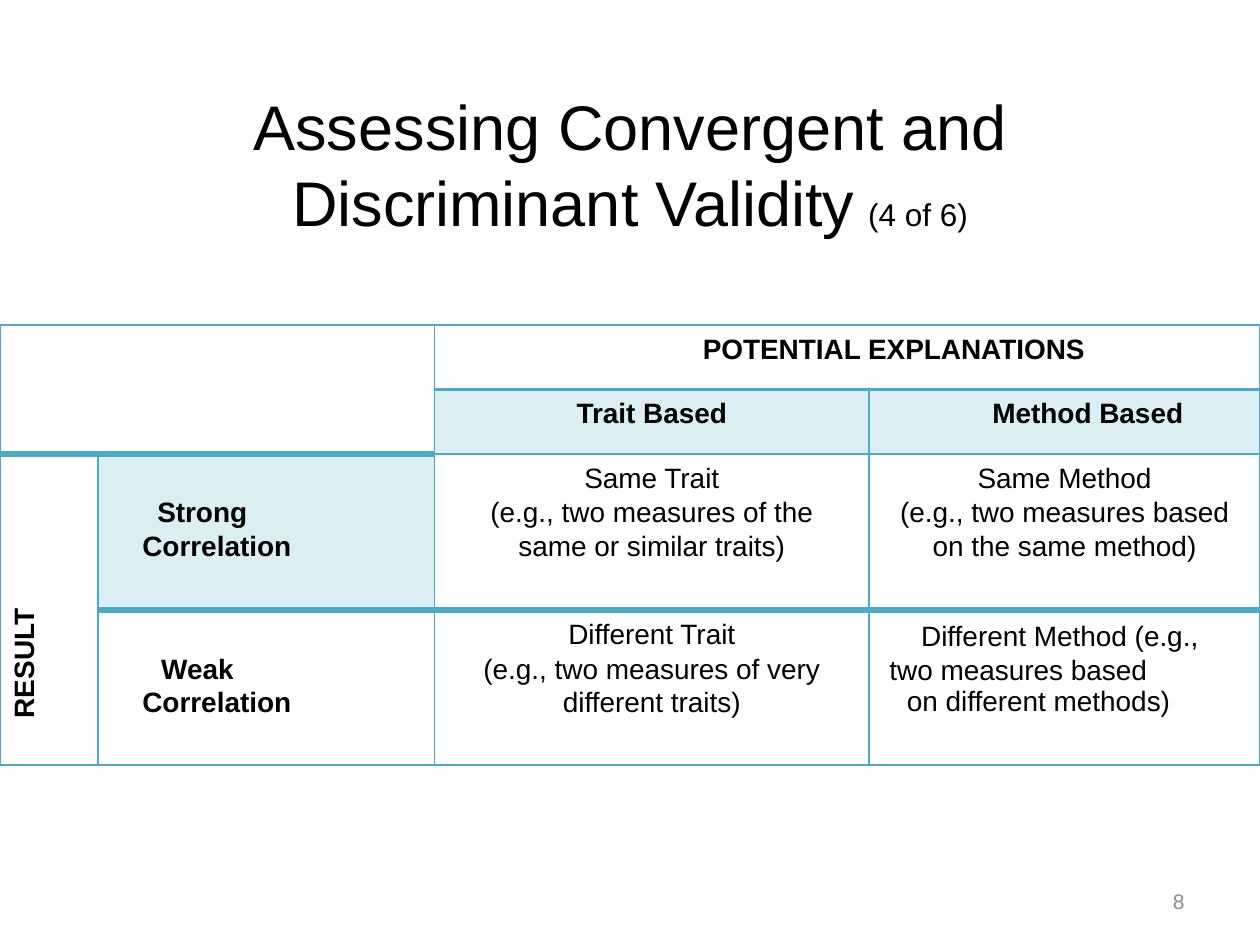
from pptx import Presentation
from pptx.dml.color import RGBColor
from pptx.enum.text import MSO_ANCHOR, MSO_AUTO_SIZE, PP_ALIGN
from pptx.oxml import parse_xml
from pptx.oxml.ns import nsdecls
from pptx.util import Cm, Pt

CENTER, LEFT, RIGHT = PP_ALIGN.CENTER, PP_ALIGN.LEFT, PP_ALIGN.RIGHT
MIDDLE = MSO_ANCHOR.MIDDLE
NO_AUTOFIT = MSO_AUTO_SIZE.NONE

BLACK = RGBColor(0x00, 0x00, 0x00)
GRAY = RGBColor(0x8C, 0x8C, 0x8C)
TEAL = RGBColor(0x4B, 0xAC, 0xC6)
FONT = "Arial"
TINT_ALPHA = 20000

COLUMN_WIDTHS = (1.98, 6.78, 8.76, 7.88)
ROW_HEIGHTS = (1.3, 1.3, 3.15, 3.12)
CELL_MARGIN = 0.18
LABEL_TOP = 0.83

# Paragraph formats: indents in cm
PLAIN = {"align": CENTER}
HEADING = {"align": CENTER, "bold": True}
LABEL = {"align": LEFT, "bold": True, "left": 0.71, "right": 2.5, "line": 1.08}
DETAIL = {"align": CENTER, "line": 1.08, "before": 0.8}

# Row, column, row span, column span, cell format, paragraphs
BLOCKS = [
    (0, 0, 2, 2, {}, []),
    (0, 2, 1, 2, {}, [("POTENTIAL EXPLANATIONS", {**HEADING, "left": 1.88})]),
    (1, 2, 1, 1, {"tint": True}, [("Trait Based", HEADING)]),
    (1, 3, 1, 1, {"tint": True}, [("Method Based", {**HEADING, "left": 0.94})]),
    (2, 0, 2, 1, {"vert": "vert270"},
     [("RESULT", {"align": LEFT, "bold": True, "left": 0.76})]),
    (2, 1, 1, 1, {"tint": True, "top": LABEL_TOP},
     [("Strong Correlation", {**LABEL, "first": 0.3})]),
    (2, 2, 1, 1, {},
     [("Same Trait", PLAIN),
      ("(e.g., two measures of the same or similar traits)",
       {**DETAIL, "left": 0.28, "right": 0.28})]),
    (2, 3, 1, 1, {},
     [("Same Method", PLAIN),
      ("(e.g., two measures based on the same method)",
       {**DETAIL, "left": 0.23, "right": 0.23})]),
    (3, 1, 1, 1, {"top": LABEL_TOP},
     [("Weak Correlation", {**LABEL, "first": 0.38})]),
    (3, 2, 1, 1, {},
     [("Different Trait", PLAIN),
      ("(e.g., two measures of very different traits)",
       {**DETAIL, "left": 0.2, "right": 0.2})]),
    (3, 3, 1, 1, {},
     [("Different Method (e.g., two measures based",
       {"align": LEFT, "left": 0.23, "first": 0.64, "right": 0.76, "line": 1.08}),
      ("on different methods)", {"align": LEFT, "left": 0.58})]),
]


def set_font(font, size, color=BLACK, bold=False):
    for name, value in {"name": FONT, "size": Pt(size), "bold": bold}.items():
        setattr(font, name, value)
    font.color.rgb = color


def add_title(slide, left, top, width, height):
    title = slide.shapes.title
    title.left, title.top, title.width, title.height = left, top, width, height
    frame = title.text_frame
    frame.auto_size = NO_AUTOFIT
    frame.vertical_anchor = MIDDLE
    heading = frame.paragraphs[0]
    heading.alignment = CENTER
    for text, size in (("Assessing Convergent and Discriminant Validity", 36),
                       (" ", 28), ("(4 of 6)", 18)):
        run = heading.add_run()
        run.text = text
        set_font(run.font, size)


def rule_width(boundary, column):
    """Width in points of the horizontal rule above row number `boundary`."""
    if boundary == 2:
        return 4 if column < 2 else 1
    return {1: 2, 3: 4}.get(boundary, 1)


def add_border(cell, side, width):
    if width:
        line = f'<a:solidFill><a:srgbClr val="{TEAL}"/></a:solidFill>'
    else:
        line = "<a:noFill/>"
    cell._tc.get_or_add_tcPr().append(parse_xml(
        f'<a:ln{side} {nsdecls("a")} w="{Pt(width)}">{line}</a:ln{side}>'))


def fill_cell(cell, tint):
    if not tint:
        cell.fill.background()
        return
    cell.fill.solid()
    cell.fill.fore_color.rgb = TEAL
    color = cell._tc.tcPr.find(".//{*}solidFill/{*}srgbClr[last()]")
    for color in cell._tc.tcPr.findall("{*}solidFill/{*}srgbClr"):
        color.append(parse_xml(f'<a:alpha {nsdecls("a")} val="{TINT_ALPHA}"/>'))


def write_paragraphs(frame, paragraphs):
    for index, (text, style) in enumerate(paragraphs):
        paragraph = frame.paragraphs[0] if index == 0 else frame.add_paragraph()
        paragraph.text = text
        paragraph.alignment = style["align"]
        paragraph.line_spacing = style.get("line", 1.0)
        paragraph.space_before = Pt(style.get("before", 0))
        properties = paragraph._p.get_or_add_pPr()
        for attribute, key in (("marL", "left"), ("marR", "right"), ("indent", "first")):
            properties.set(attribute, str(int(Cm(style.get(key, 0)))))
        set_font(paragraph.runs[0].font, 16, bold=style.get("bold", False))


def add_validity_table(slide, left, top, width, height):
    table = slide.shapes.add_table(len(ROW_HEIGHTS), len(COLUMN_WIDTHS),
                                   left, top, width, height).table
    table.first_row = table.horz_banding = False
    for column, size in zip(table.columns, COLUMN_WIDTHS):
        column.width = Cm(size)
    for row, size in zip(table.rows, ROW_HEIGHTS):
        row.height = Cm(size)

    for row, column, row_span, column_span, style, paragraphs in BLOCKS:
        origin = table.cell(row, column)
        end_row, end_column = row + row_span, column + column_span
        if row_span * column_span > 1:
            origin.merge(table.cell(end_row - 1, end_column - 1))

        # Rules run around the outside of each block
        for r in range(row, end_row):
            for c in range(column, end_column):
                cell = table.cell(r, c)
                first = (r, c) == (row, column)
                add_border(cell, "L", 1 if c == column else 0)
                add_border(cell, "R", 1 if first or c == end_column - 1 else 0)
                add_border(cell, "T", rule_width(row, c) if r == row else 0)
                add_border(cell, "B", rule_width(end_row, c)
                           if first or r == end_row - 1 else 0)
                fill_cell(cell, style.get("tint", False))

        for side in ("left", "right", "top", "bottom"):
            setattr(origin, f"margin_{side}", Cm(CELL_MARGIN))
        origin.margin_top = Cm(style.get("top", CELL_MARGIN))
        if "vert" in style:
            origin._tc.tcPr.set("vert", style["vert"])
        write_paragraphs(origin.text_frame, paragraphs)


def add_page_number(slide, left, top, width, height):
    frame = slide.shapes.add_textbox(left, top, width, height).text_frame
    frame.word_wrap = True
    frame.vertical_anchor = MIDDLE
    number = frame.paragraphs[0]
    number.text = "8"
    number.alignment = RIGHT
    set_font(number.runs[0].font, 12, GRAY)


def main():
    presentation = Presentation()
    presentation.slide_width, presentation.slide_height = Cm(25.4), Cm(19.05)
    slide = presentation.slides.add_slide(presentation.slide_layouts[5])
    add_title(slide, Cm(1.27), Cm(1.7), Cm(22.86), Cm(3.18))
    add_validity_table(slide, Cm(0), Cm(6.55),
                       Cm(sum(COLUMN_WIDTHS)), Cm(sum(ROW_HEIGHTS)))
    add_page_number(slide, Cm(22.86), Cm(17.65), Cm(1.27), Cm(1.02))
    presentation.save("out.pptx")


if __name__ == "__main__":
    main()
